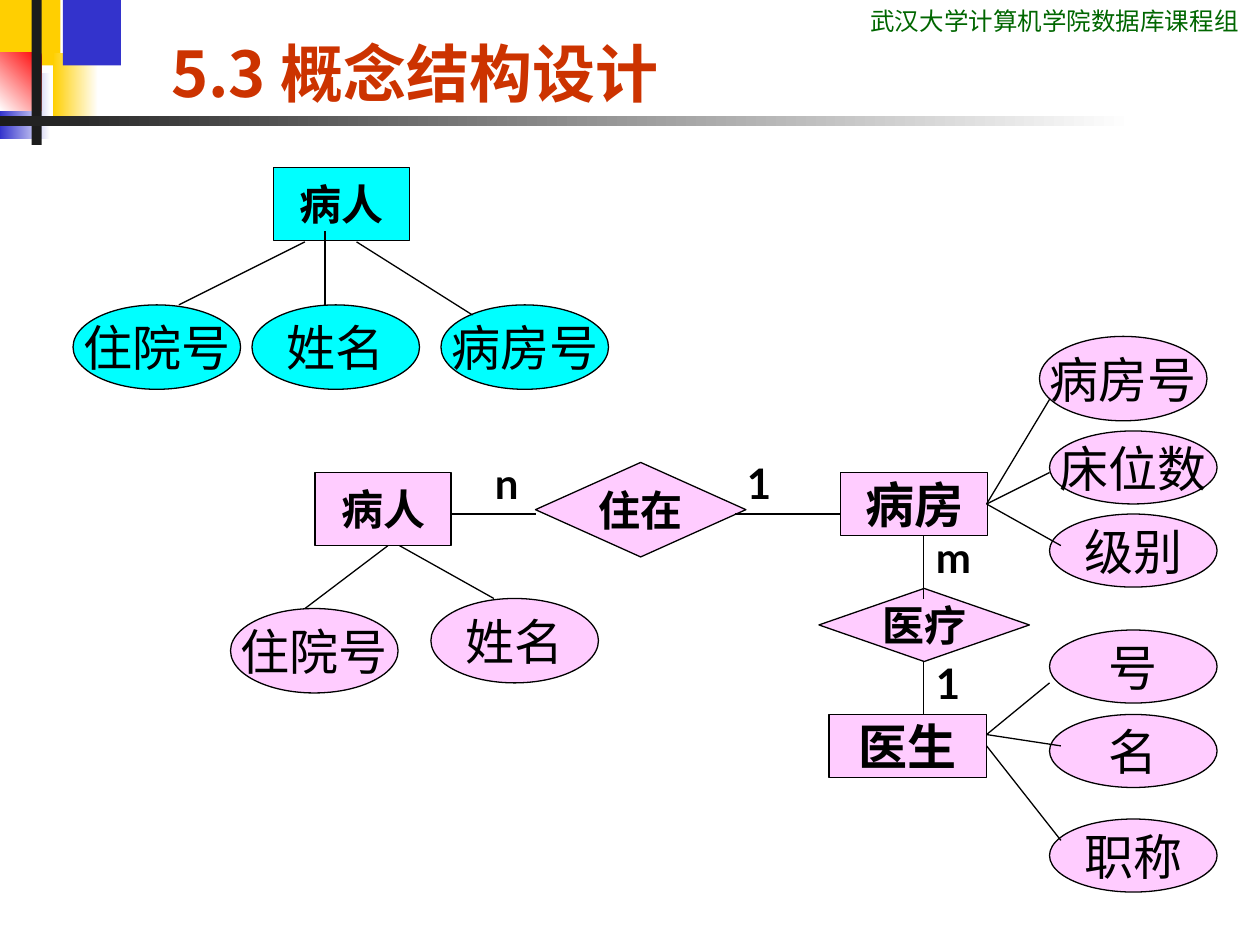
from lxml import etree
from pptx import Presentation
from pptx.dml.color import RGBColor
from pptx.enum.shapes import MSO_CONNECTOR, MSO_SHAPE
from pptx.enum.text import MSO_ANCHOR, PP_ALIGN
from pptx.oxml.ns import qn
from pptx.util import Inches, Pt

RECTANGLE, ELLIPSE = MSO_SHAPE.RECTANGLE, MSO_SHAPE.OVAL
DIAMOND = MSO_SHAPE.FLOWCHART_DECISION
STRAIGHT = MSO_CONNECTOR.STRAIGHT
TOP, MIDDLE, BOTTOM = MSO_ANCHOR.TOP, MSO_ANCHOR.MIDDLE, MSO_ANCHOR.BOTTOM
LEFT, CENTER = PP_ALIGN.LEFT, PP_ALIGN.CENTER

WHITE = RGBColor(0xFF, 0xFF, 0xFF)
BLACK = RGBColor(0x00, 0x00, 0x00)
YELLOW = RGBColor(0xFF, 0xCF, 0x01)
BLUE = RGBColor(0x33, 0x33, 0xCC)
RED = RGBColor(0xFF, 0x00, 0x00)
CHARCOAL = RGBColor(0x1C, 0x1C, 0x1C)
GREEN = RGBColor(0x00, 0x66, 0x00)
RUST = RGBColor(0xCC, 0x33, 0x00)
CYAN = RGBColor(0x00, 0xFF, 0xFF)
PINK = RGBColor(0xFF, 0xCC, 0xFF)

BODY_FONT, CHINESE_FONT = "Lato", "Noto Sans CJK SC"
HEADER_FONT = "Roboto Condensed"


def write(shape, text, anchor, align, wrap, color=BLACK, **font_format):
    """Put one line of text in a shape, with Latin and Chinese fonts."""
    frame = shape.text_frame
    frame.word_wrap = wrap
    frame.vertical_anchor = anchor
    para = frame.paragraphs[0]
    para.alignment = align
    span = para.add_run()
    span.text = text
    span.font.color.rgb = color
    for name, value in font_format.items():
        setattr(span.font, name, value)
    east_asian = etree.SubElement(span.font._element, qn("a:ea"))
    east_asian.set("typeface", CHINESE_FONT)


def add_block(kind, place, fill_color):
    block = page.shapes.add_shape(kind, *map(Inches, place))
    block.shadow.inherit = False
    block.fill.solid()
    block.fill.fore_color.rgb = fill_color
    block.line.fill.background()
    return block


deck = Presentation()
deck.slide_width, deck.slide_height = Inches(10), Inches(7.5)
page = deck.slides.add_slide(deck.slide_layouts[6])

# Corner ornament: place, start colour, optional end colour and angle
ornaments = [
    ((0, 0, 0.48, 0.52), YELLOW, None, 0),
    ((0.42, 0.42, 0.36, 0.52), WHITE, YELLOW, 180),
    ((0.5, 0, 0.46, 0.52), BLUE, None, 0),
    ((0, 0.58, 0.4, 0.52), WHITE, BLUE, 180),
    ((0, 0.42, 0.33, 0.46), RED, WHITE, 225),
    ((0.25, 0, 0.08, 1.15), CHARCOAL, None, 0),
    ((0, 0.92, 9, 0.08), WHITE, CHARCOAL, 180),
]
for place, start, end, angle in ornaments:
    ornament = add_block(RECTANGLE, place, start)
    if end is not None:
        ornament.fill.gradient()
        ornament.fill.gradient_angle = angle
        for stop, color, position in zip(ornament.fill.gradient_stops, (start, end), (0, 1)):
            stop.color.rgb = color
            stop.position = position

# Header and title
header = page.shapes.add_textbox(Inches(6.81), Inches(0), Inches(3.19), Inches(0.34))
write(header, "武汉大学计算机学院数据库课程组", TOP, LEFT, True, GREEN,
      size=Pt(14), name=HEADER_FONT)
title = page.shapes.add_textbox(Inches(1.26), Inches(0), Inches(6.82), Inches(0.92))
write(title, "5.3 概念结构设计", BOTTOM, LEFT, True, RUST,
      size=Pt(36), bold=True, name=CHINESE_FONT)

# Entities and relationships are bold, attributes are plain ellipses
nodes = [
    (RECTANGLE, "病人", 2.17, 1.33, 1.08, 0.58, CYAN, 24),
    (RECTANGLE, "病人", 2.5, 3.75, 1.08, 0.58, PINK, 24),
    (RECTANGLE, "病房", 6.67, 3.75, 1.17, 0.5, PINK, 28),
    (RECTANGLE, "医生", 6.58, 5.67, 1.25, 0.5, PINK, 28),
    (DIAMOND, "住在", 4.25, 3.67, 1.67, 0.75, PINK, 24),
    (DIAMOND, "医疗", 6.5, 4.67, 1.67, 0.58, PINK, 24),
]
attributes = [
    ("住院号", 0.58, 2.42, 0.67, CYAN),
    ("姓名", 2, 2.42, 0.67, CYAN),
    ("病房号", 3.5, 2.42, 0.67, CYAN),
    ("住院号", 1.83, 4.83, 0.67, PINK),
    ("姓名", 3.42, 4.75, 0.67, PINK),
    ("病房号", 8.25, 2.67, 0.67, PINK),
    ("级别", 8.33, 4.08, 0.58, PINK),
    ("床位数", 8.33, 3.42, 0.58, PINK),
    ("号", 8.33, 5, 0.58, PINK),
    ("名", 8.33, 5.67, 0.58, PINK),
    ("职称", 8.33, 6.5, 0.58, PINK),
]
nodes += [(ELLIPSE, text, left, top, 1.33, height, color, 28)
          for text, left, top, height, color in attributes]
for kind, text, left, top, width, height, color, size in nodes:
    node = add_block(kind, (left, top, width, height), color)
    node.line.color.rgb = BLACK
    node.line.width = Pt(0.75)
    write(node, text, MIDDLE, CENTER, False,
          size=Pt(size), bold=kind != ELLIPSE, name=BODY_FONT)

# Links as start x, start y, end x, end y
links = [
    (1.42, 2.42, 2.42, 1.92), (2.58, 2.42, 2.58, 1.83), (2.83, 1.92, 3.75, 2.5),
    (2.42, 4.83, 3.08, 4.33), (3.92, 4.75, 3.17, 4.33),
    (3.58, 4.08, 4.25, 4.08), (5.83, 4.08, 6.67, 4.08),
    (7.33, 4.25, 7.33, 4.75), (7.33, 5.25, 7.33, 5.67),
    (7.83, 4, 8.33, 3.17), (7.83, 4, 8.33, 3.75), (7.83, 4, 8.42, 4.33),
    (7.83, 5.83, 8.33, 5.42), (7.83, 5.83, 8.42, 5.92), (7.83, 5.92, 8.42, 6.67),
]
for ends in links:
    link = page.shapes.add_connector(STRAIGHT, *map(Inches, ends))
    link.line.color.rgb = BLACK
    link.line.width = Pt(0.75)
    etree.SubElement(link._element.spPr, qn("a:effectLst"))

# Cardinalities
for text, left, top in [("n", 3.83, 3.58), ("1", 5.83, 3.58),
                        ("m", 7.33, 4.17), ("1", 7.33, 5.17)]:
    box = page.shapes.add_textbox(Inches(left), Inches(top), Inches(0.5), Inches(0.5))
    write(box, text, TOP, LEFT, True, size=Pt(24), bold=True, name=BODY_FONT)

deck.save("out.pptx")
